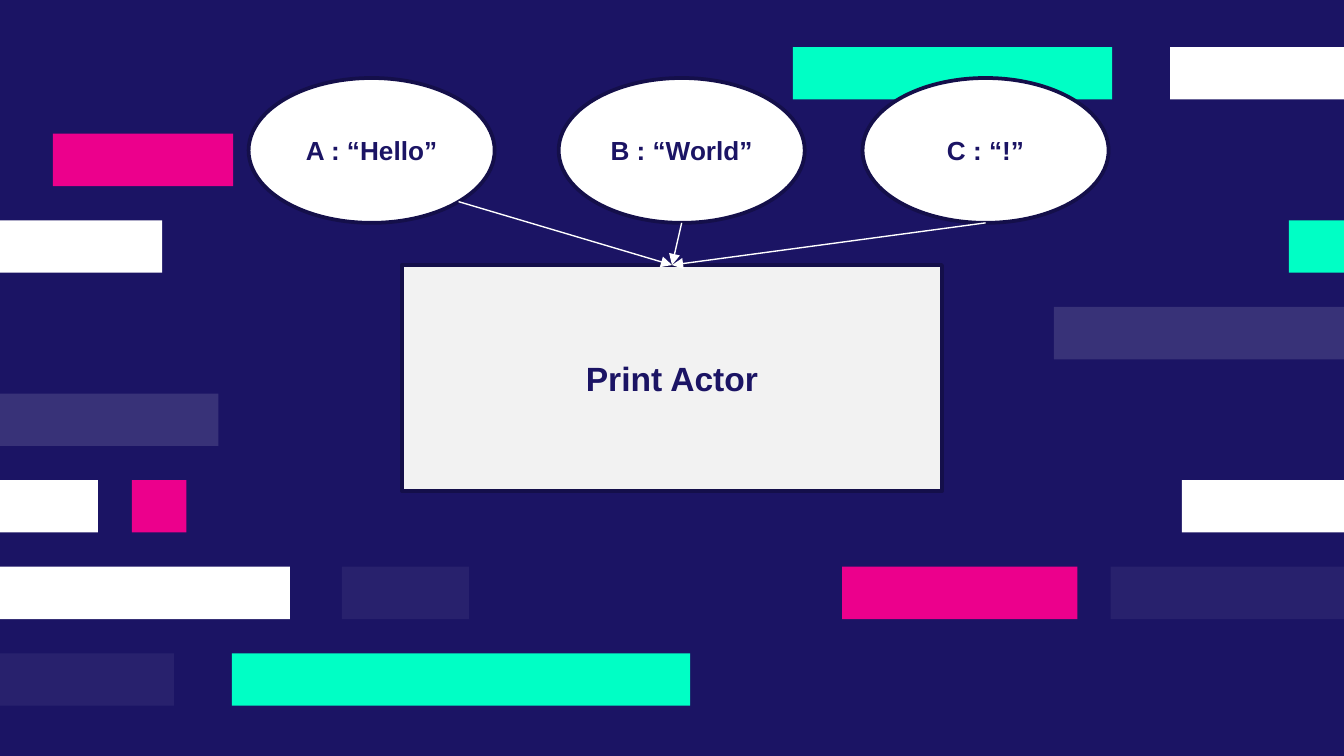
"""Build a slide of three messages flowing into one print actor."""
from dataclasses import dataclass
from math import cos, radians, sin

from lxml.etree import SubElement
from pptx import Presentation
from pptx.dml.color import RGBColor
from pptx.enum.shapes import MSO_CONNECTOR, MSO_SHAPE
from pptx.enum.text import MSO_ANCHOR, PP_ALIGN
from pptx.oxml.ns import qn
from pptx.shapes.autoshape import Shape
from pptx.slide import Slide
from pptx.util import Pt

COLORS = {
    "navy": "1B1464",
    "outline": "140F4A",
    "white": "FFFFFF",
    "panel": "F2F2F2",
    "mint": "00FFC5",
    "pink": "EC008C",
}
SLIDE_WIDTH, SLIDE_HEIGHT = 720, 405
FIRST_ROW_TOP, ROW_PITCH, BAR_HEIGHT = 25.2, 46.4, 28.1
MESSAGE_TOP, MESSAGE_WIDTH, MESSAGE_HEIGHT = 41.8, 131.8, 77.6


@dataclass(frozen=True)
class Bar:
    row: int
    left: float
    right: float
    color: str
    opacity: int = 100


@dataclass(frozen=True)
class Message:
    label: str
    left: float
    exit_angle: float = 90


@dataclass(frozen=True)
class Box:
    left: float
    top: float
    width: float
    height: float


BARS = [
    Bar(0, 424.8, 595.8, "mint"),
    Bar(0, 626.9, SLIDE_WIDTH, "white"),
    Bar(1, 28.3, 125, "pink"),
    Bar(2, 0, 86.9, "white"),
    Bar(2, 690.5, SLIDE_WIDTH, "mint"),
    Bar(3, 564.6, SLIDE_WIDTH, "white", 13),
    Bar(4, 0, 117, "white", 13),
    Bar(5, 0, 52.5, "white"),
    Bar(5, 70.7, 99.8, "pink"),
    Bar(5, 633.2, SLIDE_WIDTH, "white"),
    Bar(6, 0, 155.4, "white"),
    Bar(6, 183.2, 251.3, "white", 6),
    Bar(6, 451.2, 577.2, "pink"),
    Bar(6, 595, SLIDE_WIDTH, "white", 6),
    Bar(7, 0, 93.2, "white", 6),
    Bar(7, 124.2, 369.8, "mint"),
]
MESSAGES = [
    Message("A : “Hello”", 133.2, exit_angle=45),
    Message("B : “World”", 299.3),
    Message("C : “!”", 462.1),
]
ACTOR = Box(215.3, 142, 289.4, 121)


def rgb(color: str) -> RGBColor:
    return RGBColor.from_string(COLORS[color])


def add_filled(slide: Slide, preset: MSO_SHAPE, box: Box, color: str) -> Shape:
    shape = slide.shapes.add_shape(
        preset, Pt(box.left), Pt(box.top), Pt(box.width), Pt(box.height)
    )
    shape.shadow.inherit = False
    shape.fill.solid()
    shape.fill.fore_color.rgb = rgb(color)
    shape.line.fill.background()
    return shape


def write_text(shape: Shape, text: str, *, size: float, color: str = "navy",
               bold: bool = True, font: str = "Arial") -> None:
    frame = shape.text_frame
    frame.word_wrap = True
    frame.vertical_anchor = MSO_ANCHOR.MIDDLE
    paragraph = frame.paragraphs[0]
    paragraph.alignment = PP_ALIGN.CENTER
    run = paragraph.add_run()
    run.text = text
    run.font.name = font
    run.font.size = Pt(size)
    run.font.bold = bold
    run.font.color.rgb = rgb(color)


def draw_bar(slide: Slide, bar: Bar) -> None:
    top = FIRST_ROW_TOP + bar.row * ROW_PITCH
    box = Box(bar.left, top, bar.right - bar.left, BAR_HEIGHT)
    strip = add_filled(slide, MSO_SHAPE.RECTANGLE, box, bar.color)
    if bar.opacity < 100:
        tint = strip.fill._xPr.find(qn("a:solidFill"))[0]
        SubElement(tint, qn("a:alpha")).set("val", str(bar.opacity * 1000))


def draw_node(slide: Slide, preset: MSO_SHAPE, box: Box, color: str,
              label: str, size: float) -> None:
    node = add_filled(slide, preset, box, color)
    node.line.color.rgb = rgb("outline")
    node.line.width = Pt(2)
    write_text(node, label, size=size)


def draw_arrow(slide: Slide, message: Message) -> None:
    angle = radians(message.exit_angle)
    start_x = message.left + MESSAGE_WIDTH / 2 * (1 + cos(angle))
    start_y = MESSAGE_TOP + MESSAGE_HEIGHT / 2 * (1 + sin(angle))
    arrow = slide.shapes.add_connector(
        MSO_CONNECTOR.STRAIGHT, Pt(start_x), Pt(start_y),
        Pt(ACTOR.left + ACTOR.width / 2), Pt(ACTOR.top),
    )
    arrow.line.color.rgb = rgb("white")
    arrow.line.width = Pt(0.75)
    SubElement(arrow.line._get_or_add_ln(), qn("a:tailEnd")).set("type", "triangle")
    SubElement(arrow._element.spPr, qn("a:effectLst"))


def build() -> None:
    deck = Presentation()
    deck.slide_width, deck.slide_height = Pt(SLIDE_WIDTH), Pt(SLIDE_HEIGHT)
    slide = deck.slides.add_slide(deck.slide_layouts[6])
    slide.background.fill.solid()
    slide.background.fill.fore_color.rgb = rgb("navy")
    for bar in BARS:
        draw_bar(slide, bar)
    draw_node(slide, MSO_SHAPE.RECTANGLE, ACTOR, "panel", "Print Actor", 18)
    for message in MESSAGES:
        box = Box(message.left, MESSAGE_TOP, MESSAGE_WIDTH, MESSAGE_HEIGHT)
        draw_node(slide, MSO_SHAPE.OVAL, box, "white", message.label, 14)
    for message in MESSAGES:
        draw_arrow(slide, message)
    deck.save("out.pptx")


build()
